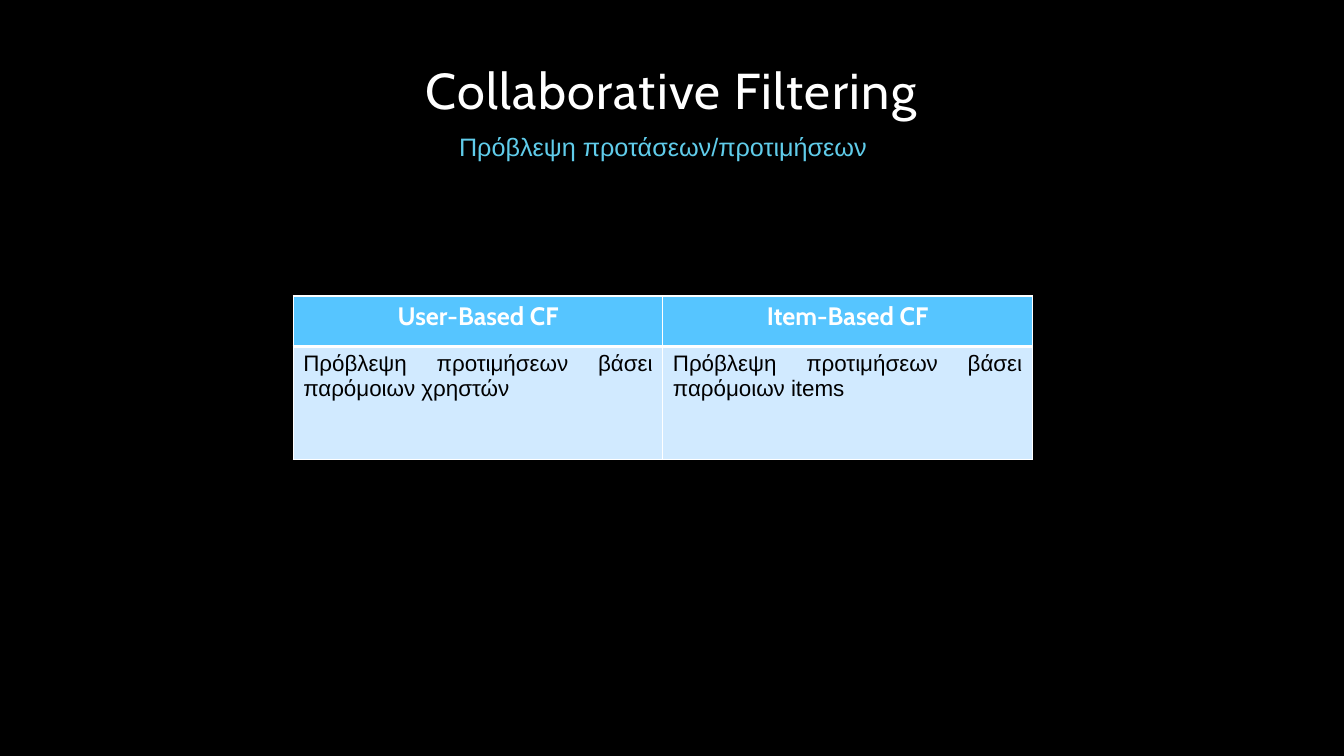
from pptx import Presentation
from pptx import util as u
from pptx.dml.color import RGBColor
from pptx.enum import text
from pptx.oxml import parse_xml
from pptx.oxml.ns import nsdecls

ALIGN = text.PP_ALIGN


def rgb(value):
    return RGBColor.from_string(value)


class Deck:
    title_style = {"name": "Cabin", "size": u.Pt(36), "bold": False}
    subtitle_style = {"name": "Arial", "size": u.Pt(18), "bold": False}
    header_style = {"name": "Cabin", "size": u.Pt(18), "bold": True}
    body_style = {"name": "Arial", "size": u.Pt(16), "bold": False}

    def __init__(self, width, height, background):
        self.prs = Presentation()
        self.prs.slide_width = u.Cm(width)
        self.prs.slide_height = u.Cm(height)
        self.slide = self.prs.slides.add_slide(self.prs.slide_layouts[5])
        fill = self.slide.background.fill
        fill.solid()
        fill.fore_color.rgb = rgb(background)

    def add_text(self, tf, words, style, color, align):
        p = tf.paragraphs[0]
        p.alignment = align
        r = p.add_run()
        r.text = words
        for name, value in style.items():
            setattr(r.font, name, value)
        r.font.color.rgb = rgb(color)
        return p, r

    def title(self, words, box):
        sp = self.slide.shapes.title
        sp.left, sp.top, sp.width, sp.height = map(u.Cm, box)
        tf = sp.text_frame
        tf.vertical_anchor = text.MSO_ANCHOR.BOTTOM
        tf.auto_size = text.MSO_AUTO_SIZE.NONE
        p, r = self.add_text(tf, words, self.title_style, "FFFFFF", ALIGN.CENTER)
        p.line_spacing = 0.9
        r._r.get_or_add_rPr().set("spc", "100")

    def subtitle(self, words, box):
        sp = self.slide.shapes.add_textbox(*map(u.Cm, box))
        tf = sp.text_frame
        tf.word_wrap = True
        tf.auto_size = text.MSO_AUTO_SIZE.SHAPE_TO_FIT_TEXT
        self.add_text(tf, words, self.subtitle_style, "60CCEA", ALIGN.CENTER)

    def borders(self, cell, widths):
        tc_pr = cell._tc.get_or_add_tcPr()
        for i, (side, width) in enumerate(widths.items()):
            tc_pr.insert(i, parse_xml(
                f'<a:ln{side} {nsdecls("a")} w="{u.Pt(width)}"><a:solidFill>'
                f'<a:srgbClr val="FFFFFF"/></a:solidFill></a:ln{side}>'))

    def table(self, rows, box, heights):
        looks = [
            (self.header_style, "FFFFFF", "56C5FF", ALIGN.CENTER, {"L": 1, "R": 1, "T": 1, "B": 3}),
            (self.body_style, "000000", "D1EAFF", ALIGN.JUSTIFY, {"L": 1, "R": 1, "T": 3, "B": 1}),
        ]
        frame = self.slide.shapes.add_table(len(rows), len(rows[0]), *map(u.Cm, box))
        table = frame.table
        for i, (row, height, look) in enumerate(zip(rows, heights, looks)):
            style, color, fill, align, widths = look
            table.rows[i].height = u.Cm(height)
            for j, words in enumerate(row):
                cell = table.cell(i, j)
                cell.fill.solid()
                cell.fill.fore_color.rgb = rgb(fill)
                self.add_text(cell.text_frame, words, style, color, align)
                self.borders(cell, widths)


def main():
    deck = Deck(33.87, 19.05, "000000")
    deck.title("Collaborative Filtering", (4.22, 1.07, 25.4, 2.1))
    deck.subtitle("Πρόβλεψη προτάσεων/προτιμήσεων", (8.67, 3.18, 16.08, 1.03))
    deck.table(
        [
            ["User-Based CF", "Item-Based CF"],
            ["Πρόβλεψη προτιμήσεων βάσει παρόμοιων χρηστών",
             "Πρόβλεψη προτιμήσεων βάσει παρόμοιων items"],
        ],
        (7.39, 7.46, 18.63, 4.12),
        (1.27, 2.85),
    )
    deck.prs.save("out.pptx")


if __name__ == "__main__":
    main()
